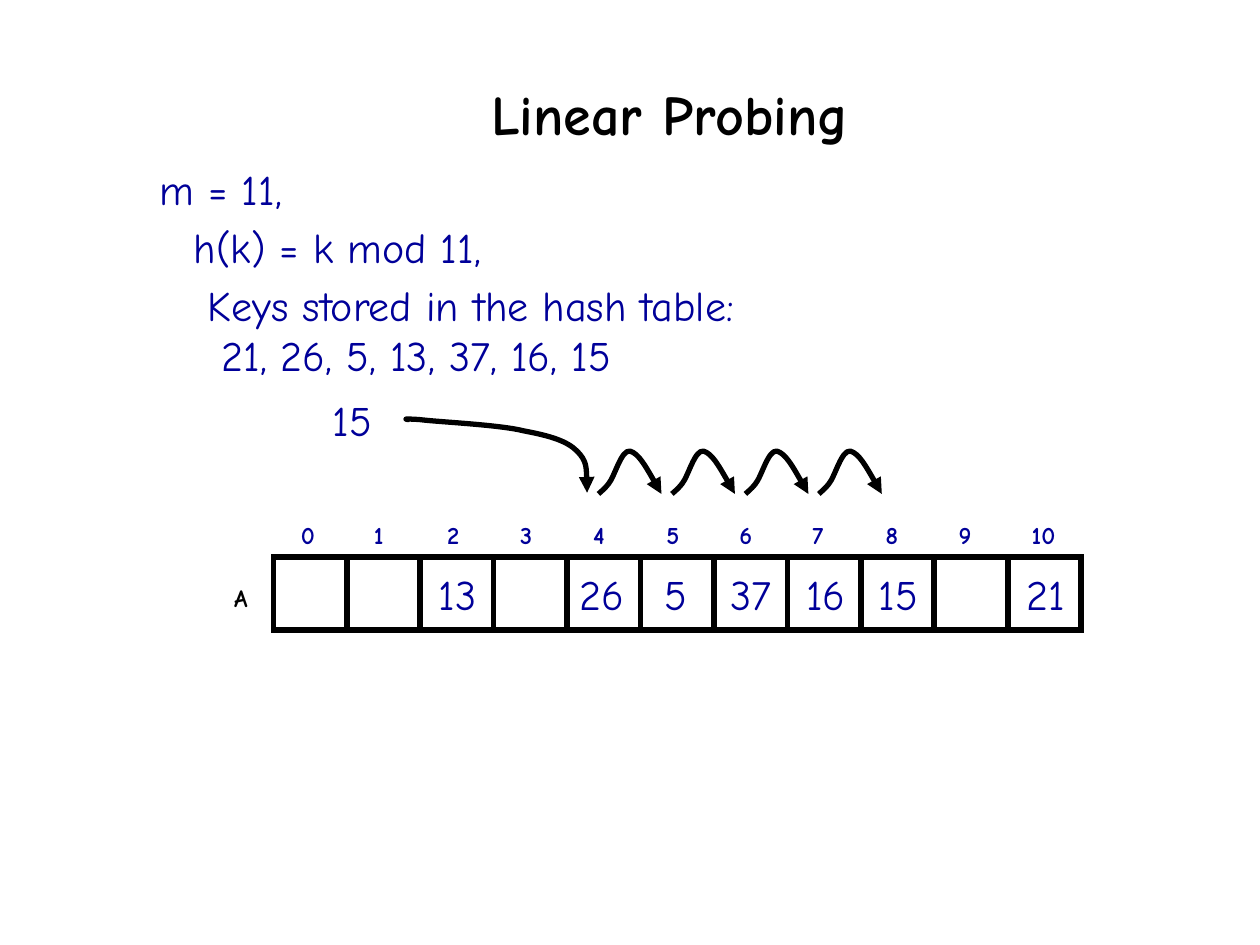
from lxml import etree
from pptx import Presentation
from pptx.dml.color import RGBColor
from pptx.enum.shapes import MSO_SHAPE
from pptx.enum.text import MSO_AUTO_SIZE
from pptx.oxml.ns import qn
from pptx.util import Inches, Pt

RECT = MSO_SHAPE.RECTANGLE
GROW = MSO_AUTO_SIZE.SHAPE_TO_FIT_TEXT
NAVY = RGBColor(0x00, 0x00, 0x99)
BLACK = RGBColor(0x00, 0x00, 0x00)
FONT = "Comic Neue"
SLOTS = 11
CELL = 0.58
CELL_STEP = 5.83 / (SLOTS - 1)

# slot: (key, left offset of its text in the cell, text width)
STORED_KEYS = {
    2: ("13", 0.05, 0.54),
    4: ("26", 0, 0.59),
    5: ("5", 0.09, 0.42),
    6: ("37", 0.03, 0.57),
    7: ("16", 0.05, 0.55),
    8: ("15", 0.04, 0.55),
    10: ("21", 0.05, 0.54),
}
# Start point, then two control points and an end point for each curve
FIRST_PROBE = [(0.07, 0.01), (0.04, 0.01), (0, 0), (0.15, 0.01),
               (0.31, 0.03), (0.78, 0.05), (0.98, 0.1),
               (1.19, 0.14), (1.32, 0.18), (1.4, 0.26),
               (1.48, 0.34), (1.48, 0.47), (1.48, 0.59)]
NEXT_PROBE = [(0, 0.35), (0.02, 0.33), (0.04, 0.32), (0.08, 0.27),
              (0.13, 0.21), (0.18, 0), (0.25, 0.01),
              (0.32, 0.03), (0.41, 0.19), (0.5, 0.35)]


def add_text(s, text, left, top, width, height, size=24, color=NAVY,
             bold=False, wrap=False, indent=0.11):
    """Put each line of text in its own paragraph; indent those after the first."""
    box = s.shapes.add_textbox(Inches(left), Inches(top), Inches(width), Inches(height))
    tf = box.text_frame
    tf.word_wrap = wrap
    tf.auto_size = GROW
    tf.text = text
    for i, p in enumerate(tf.paragraphs):
        if i:
            p._p.get_or_add_pPr().set("marL", str(Inches(indent)))
        f = p.runs[0].font
        f.name, f.size, f.bold = FONT, Pt(size), bold
        f.color.rgb = color


def style_outline(sp):
    sp.shadow.inherit = False
    sp.fill.background()
    sp.line.color.rgb = BLACK
    sp.line.width = Pt(3)


def add_curved_arrow(s, points, left, top):
    """Draw Bezier curves through points given relative to left and top."""
    pts = [(Inches(left + x), Inches(top + y)) for x, y in points]
    builder = s.shapes.build_freeform(*pts[0])
    builder.add_line_segments(pts[1:], close=False)
    sp = builder.convert_to_shape()
    style_outline(sp)
    path = next(sp._element.iter(qn("a:path")))
    lines = path.findall(qn("a:lnTo"))
    for i in range(0, len(lines), 3):
        curve = etree.SubElement(path, qn("a:cubicBezTo"))
        for line in lines[i:i + 3]:
            curve.append(line[0])
            path.remove(line)
    etree.SubElement(sp.line._get_or_add_ln(), qn("a:tailEnd"), type="triangle")


def add_definitions(s, left, top):
    add_text(s, "m = 11,", left, top, 8.33, 0.5, wrap=True)
    add_text(s, "h(k) = k mod 11,", left + 0.27, top + 0.46, 2.5, 0.5)
    add_text(s, "Keys stored in the hash table:\n21, 26, 5, 13, 37, 16, 15",
             left + 0.38, top + 0.92, 4.42, 0.9)


def add_hash_table(s, left, top):
    add_text(s, "A", left - 0.41, top + 0.16, 0.34, 0.34, size=14, color=BLACK, bold=True)
    for slot in range(SLOTS):
        add_text(s, str(slot), left + 0.12 + 0.58 * slot, top - 0.34,
                 0.34 if slot < 10 else 0.46, 0.34, size=14, bold=True)
        x = left + CELL_STEP * slot
        cell = s.shapes.add_shape(RECT, Inches(x), Inches(top), Inches(CELL), Inches(CELL))
        style_outline(cell)
        etree.SubElement(cell.line._get_or_add_ln(), qn("a:miter"), lim="800000")
    for slot, (key, offset, width) in STORED_KEYS.items():
        add_text(s, key, left + CELL_STEP * slot + offset, top + 0.04, width, 0.5)


def add_probes(s, left, top):
    add_text(s, "15", left - 0.01, top, 0.55, 0.5)
    add_curved_arrow(s, FIRST_PROBE, left + 0.63, top + 0.24)
    for i in range(4):
        add_curved_arrow(s, NEXT_PROBE, left + 2.2 + CELL_STEP * i, top + 0.49)


def main():
    prs = Presentation()
    prs.slide_width, prs.slide_height = Inches(10), Inches(7.5)
    s = prs.slides.add_slide(prs.slide_layouts[6])
    add_text(s, "Linear Probing", 3.8, 0.58, 3.04, 0.64, size=32, color=BLACK, bold=True)
    add_definitions(s, 1.17, 1.25)
    add_hash_table(s, 2.17, 4.42)
    add_probes(s, 2.55, 3.08)
    prs.save("out.pptx")


if __name__ == "__main__":
    main()
